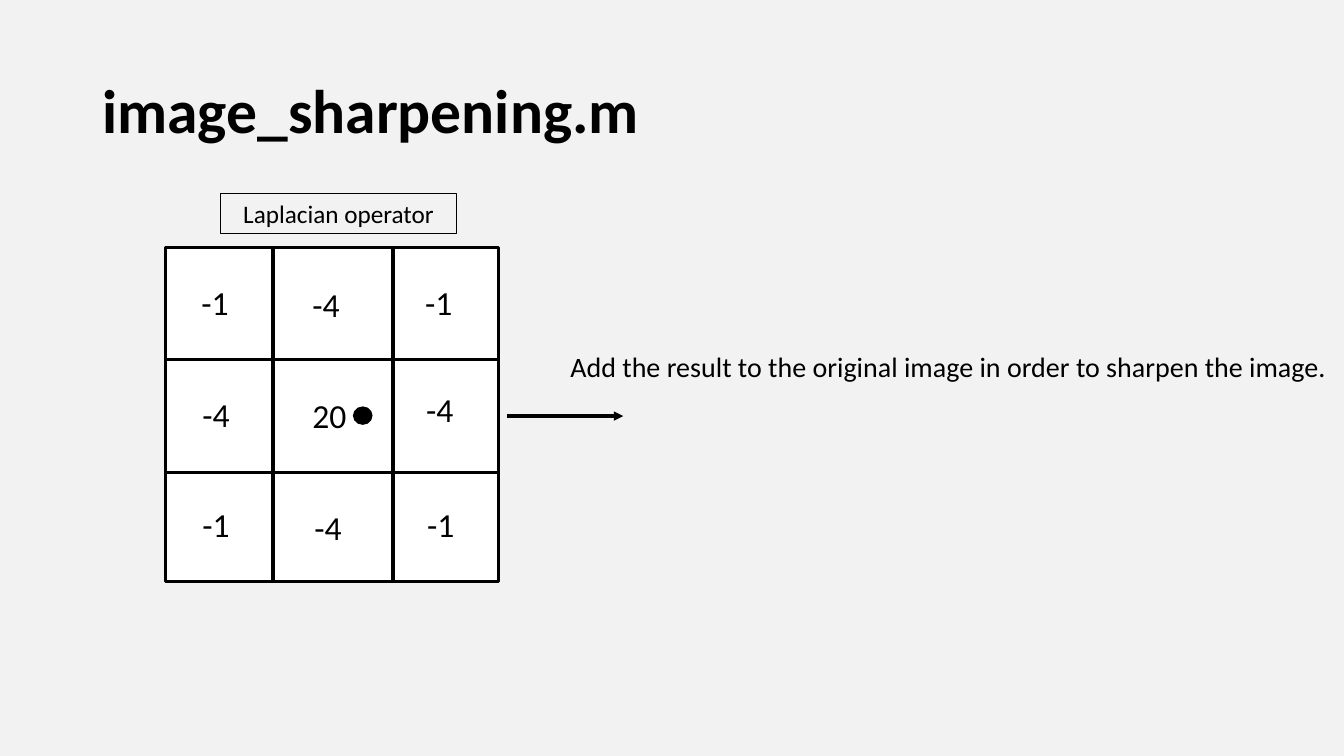
from lxml import etree
from pptx import Presentation
from pptx.dml.color import RGBColor
from pptx.enum import shapes, text
from pptx.oxml import ns
from pptx.util import Pt

COLORS = {"page": "F2F2F2", "ink": "000000", "cell": "FFFFFF"}
FONT = "Calibri"
KERNEL = [
    [("-1", 18.7, 21), ("-4", 98, 22.3), ("-1", 178.5, 21)],
    [("-4", 19.4, 101), ("20", 98, 101.5), ("-4", 179.3, 97.2)],
    [("-1", 19.4, 179.3), ("-4", 99.4, 181.4), ("-1", 180, 179.3)],
]


def color(name):
    return RGBColor.from_string(COLORS[name])


def write(shape, words, size=24, bold=False, align=text.PP_ALIGN.LEFT,
          anchor=text.MSO_ANCHOR.TOP, wrap=True, spacing=None):
    frame = shape.text_frame
    frame.word_wrap = wrap
    frame.vertical_anchor = anchor
    para = frame.paragraphs[0]
    para.alignment = align
    para.line_spacing = spacing
    span = para.add_run()
    span.text = words
    span.font.name = FONT
    span.font.size = Pt(size)
    span.font.bold = bold
    span.font.color.rgb = color("ink")


def add_text(page, words, left, top, width, height, **style):
    box = page.shapes.add_textbox(Pt(left), Pt(top), Pt(width), Pt(height))
    write(box, words, **style)


def add_figure(page, kind, left, top, width, height, fill=None, weight=2.25):
    shape = page.shapes.add_shape(kind, Pt(left), Pt(top), Pt(width), Pt(height))
    shape.shadow.inherit = False
    if fill:
        shape.fill.solid()
        shape.fill.fore_color.rgb = color(fill)
    else:
        shape.fill.background()
    shape.line.color.rgb = color("ink")
    shape.line.width = Pt(weight)
    return shape


def add_line(page, left, top, right, bottom, arrow=False):
    line = page.shapes.add_connector(
        shapes.MSO_CONNECTOR.STRAIGHT, Pt(left), Pt(top), Pt(right), Pt(bottom))
    line.line.color.rgb = color("ink")
    line.line.width = Pt(2.25)
    if arrow:
        etree.SubElement(line.line._get_or_add_ln(), ns.qn("a:tailEnd"), type="triangle")
    etree.SubElement(line._element.spPr, ns.qn("a:effectLst"))


def add_title(page, left, top, width, height):
    title = page.shapes.title
    title.left, title.top, title.width, title.height = map(Pt, (left, top, width, height))
    write(title, "image_sharpening.m", size=44, bold=True,
          anchor=text.MSO_ANCHOR.MIDDLE, spacing=0.9)


def add_kernel(page, left, top, size):
    add_figure(page, shapes.MSO_SHAPE.RECTANGLE, left, top, size, size, "cell")
    for offset in (80, 160.6):
        add_line(page, left, top + offset, left + size, top + offset)
    for offset in (77, 162.7):
        add_line(page, left + offset, top, left + offset, top + size)
    for row in KERNEL:
        for value, across, down in row:
            add_text(page, value, left + across, top + down, 49, 36)
    label = add_figure(page, shapes.MSO_SHAPE.RECTANGLE,
                       left + 39.6, top - 39, 168.5, 29, weight=0.75)
    write(label, "Laplacian operator", size=18, align=text.PP_ALIGN.CENTER)
    add_figure(page, shapes.MSO_SHAPE.OVAL, left + 134.6, top + 113.8, 13, 12.2,
               "ink", weight=1)


def add_result(page, left, top, width, height):
    add_line(page, left, top + 51, left + 83, top + 51, arrow=True)
    add_text(page, "Add the result to the original image in order to sharpen the image.",
             left + 38.2, top, width - 38.2, height, size=20, wrap=False)


def main():
    deck = Presentation()
    deck.slide_width, deck.slide_height = Pt(960), Pt(540)
    page = deck.slides.add_slide(deck.slide_layouts[5])
    page.background.fill.solid()
    page.background.fill.fore_color.rgb = color("page")
    add_title(page, 66, 28.8, 828, 104.4)
    add_kernel(page, 118, 177, 238.4)
    add_result(page, 362.2, 246.2, 597.6, 31.5)
    deck.save("out.pptx")


if __name__ == "__main__":
    main()
